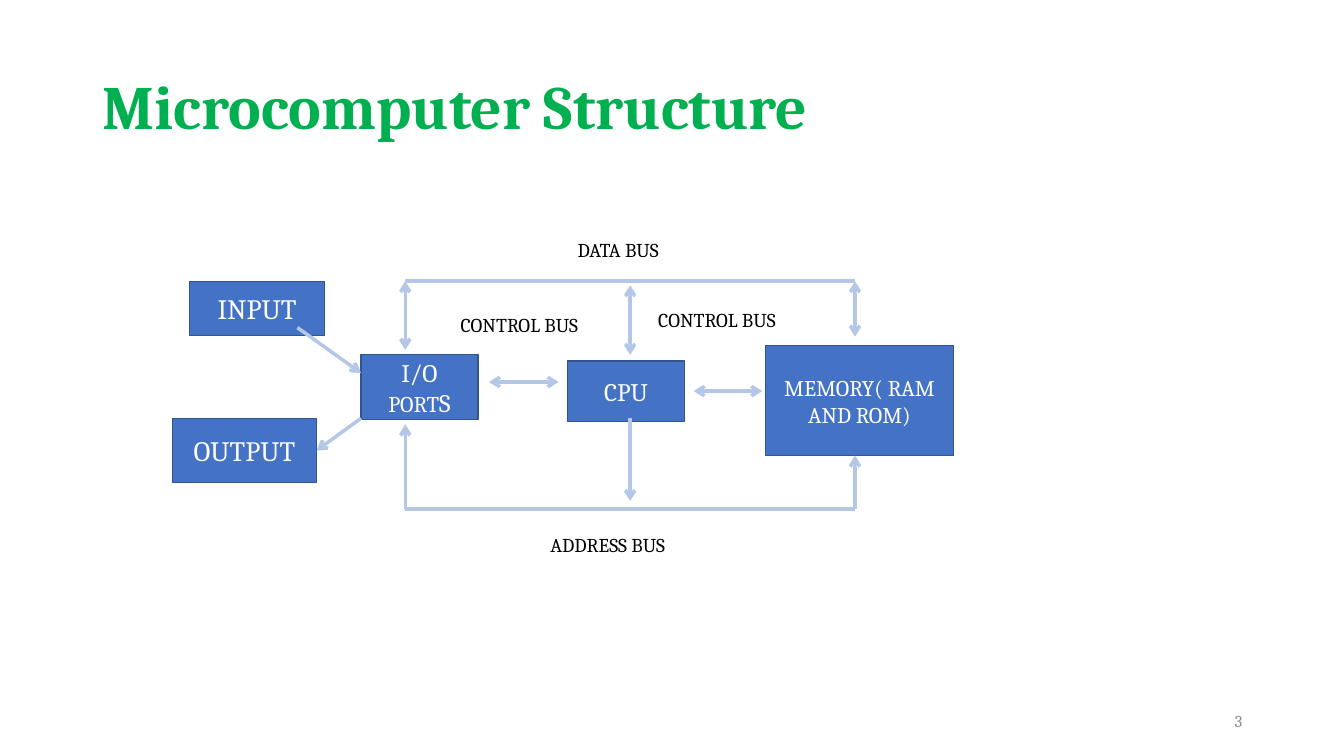
from lxml import etree
from pptx import Presentation
from pptx import util as u
from pptx.dml.color import RGBColor
from pptx.enum import shapes, text
from pptx.oxml import ns

FONT = "Cambria"
BLUE, EDGE, PALE = "4472C4", "325491", "B4C7E7"

prs = Presentation()
prs.slide_width, prs.slide_height = u.Inches(13.33), u.Inches(7.5)
s = prs.slides.add_slide(prs.slide_layouts[5])


def rgb(value):
    return RGBColor.from_string(value)


def write(sp, runs, color, align=text.PP_ALIGN.LEFT, anchor=text.MSO_ANCHOR.MIDDLE):
    tf = sp.text_frame
    tf.word_wrap = True
    tf.vertical_anchor = anchor
    p = tf.paragraphs[0]
    p.alignment = align
    for words, size in runs:
        r = p.add_run()
        r.text = words
        r.font.name, r.font.size = FONT, u.Pt(size)
        r.font.color.rgb = rgb(color)
    return p


# Title
title = s.shapes.title
title.left, title.top, title.width, title.height = map(u.Inches, (0.92, 0.36, 11.5, 1.45))
p = write(title, [("Microcomputer Structure", 44)], "00B050")
p.line_spacing = 0.9
p.runs[0].font.bold = True

# Units of the computer
units = [
    ("input", 1.88, 2.79, 1.34, 0.54, [("INPUT", 20)]),
    ("output", 1.71, 4.15, 1.43, 0.64, [("OUTPUT", 20)]),
    ("ports", 3.58, 3.52, 1.16, 0.64, [("I/O ", 18), ("PORT", 16), ("S", 18)]),
    ("cpu", 5.63, 3.58, 1.16, 0.6, [("CPU", 18)]),
    ("memory", 7.59, 3.43, 1.87, 1.09, [("MEMORY( RAM AND ROM)", 16)]),
]
boxes = {}
for name, x, y, w, h, runs in units:
    sp = s.shapes.add_shape(shapes.MSO_SHAPE.RECTANGLE, *map(u.Inches, (x, y, w, h)))
    sp.shadow.inherit = False
    sp.fill.solid()
    sp.fill.fore_color.rgb = rgb(BLUE)
    sp.line.color.rgb = rgb(EDGE)
    sp.line.width = u.Pt(1)
    write(sp, runs, "FFFFFF", text.PP_ALIGN.CENTER)
    boxes[name] = sp

# Buses and arrows: start, end, arrowheads, box joined at its right side
left, right = 4.02, 8.48
middle = (left + right) / 2
data_y, address_y = 2.79, 5.05
ONE, BOTH = ["tailEnd"], ["headEnd", "tailEnd"]
lines = [
    (2.95, 3.25, 3.58, 3.7, ONE, None),
    (3.58, 4.15, 3.14, 4.47, ONE, "output"),
    (4.85, 3.79, 5.54, 3.79, BOTH, None),
    (6.88, 3.88, 7.56, 3.88, BOTH, None),
    (left, data_y, right, data_y, [], None),
    (left, data_y, left, 3.47, BOTH, None),
    (middle, 2.83, middle, 3.52, BOTH, None),
    (right, data_y, right, 3.34, BOTH, None),
    (left, address_y, right, address_y, [], None),
    (left, address_y, left, 4.21, ONE, None),
    (middle, 4.15, middle, 4.97, ONE, None),
    (right, address_y, right, 4.52, ONE, None),
]
for x1, y1, x2, y2, heads, target in lines:
    line = s.shapes.add_connector(shapes.MSO_CONNECTOR.STRAIGHT,
                                  *map(u.Inches, (x1, y1, x2, y2)))
    line.line.color.rgb = rgb(PALE)
    line.line.width = u.Pt(2.5)
    if target:
        line.end_connect(boxes[target], 3)
    ln = line.line._get_or_add_ln()
    for head in heads:
        etree.SubElement(ln, ns.qn("a:" + head), type="arrow")
    etree.SubElement(line._element.spPr, ns.qn("a:effectLst"))

# Bus labels
labels = [
    ("DATA BUS", 5.63, 2.31, 1.25),
    ("CONTROL BUS", 4.47, 3.06, 1.69),
    ("CONTROL BUS", 6.43, 3.01, 1.69),
    ("ADDRESS BUS", 5.36, 5.24, 1.69),
]
for words, x, y, w in labels:
    sp = s.shapes.add_textbox(*map(u.Inches, (x, y, w, 0.33)))
    write(sp, [(words, 14)], "000000", anchor=text.MSO_ANCHOR.TOP)

# Page number
sp = s.shapes.add_textbox(*map(u.Inches, (9.42, 6.95, 3, 0.4)))
write(sp, [("3", 12)], "8C8C8C", text.PP_ALIGN.RIGHT)

prs.save("out.pptx")
